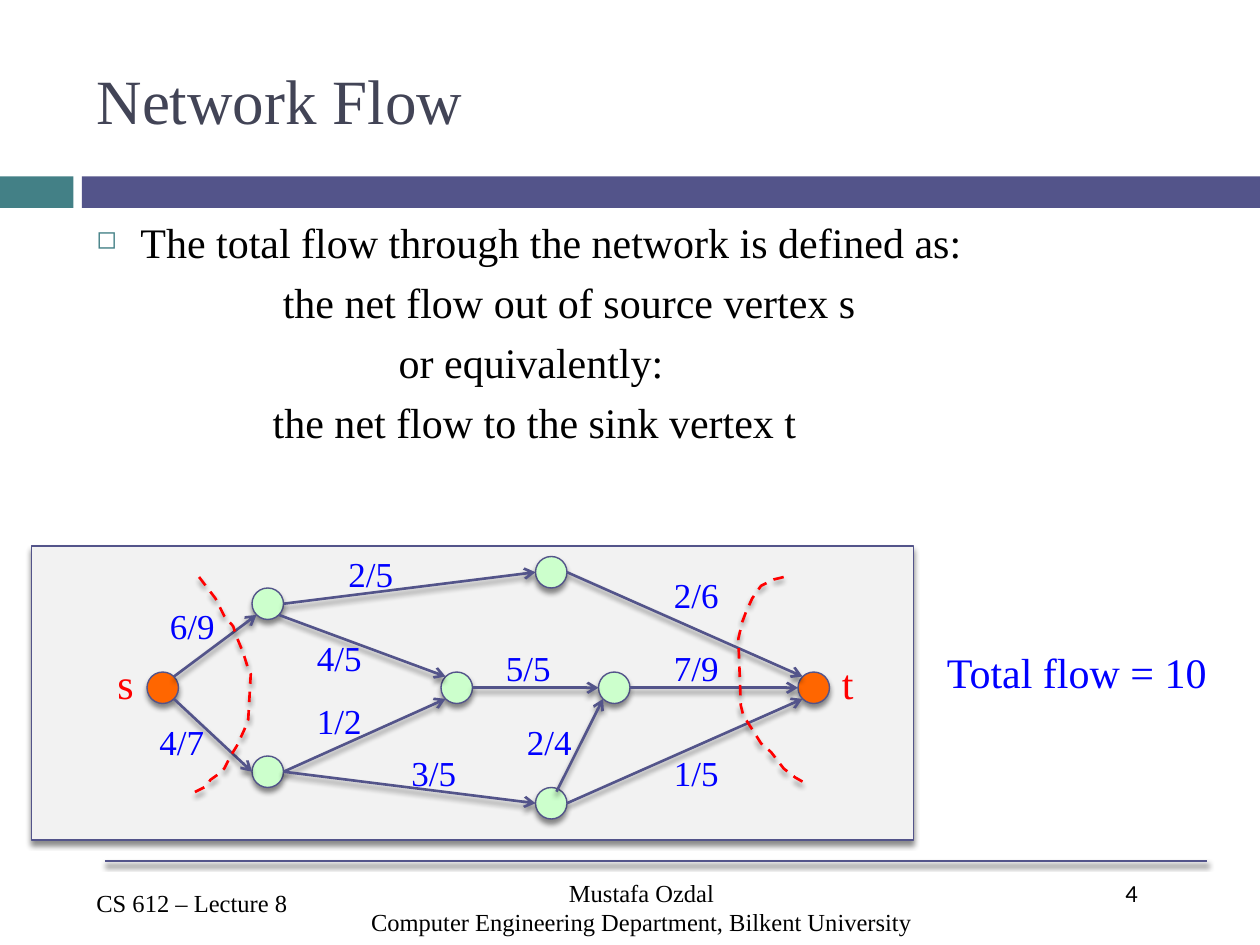
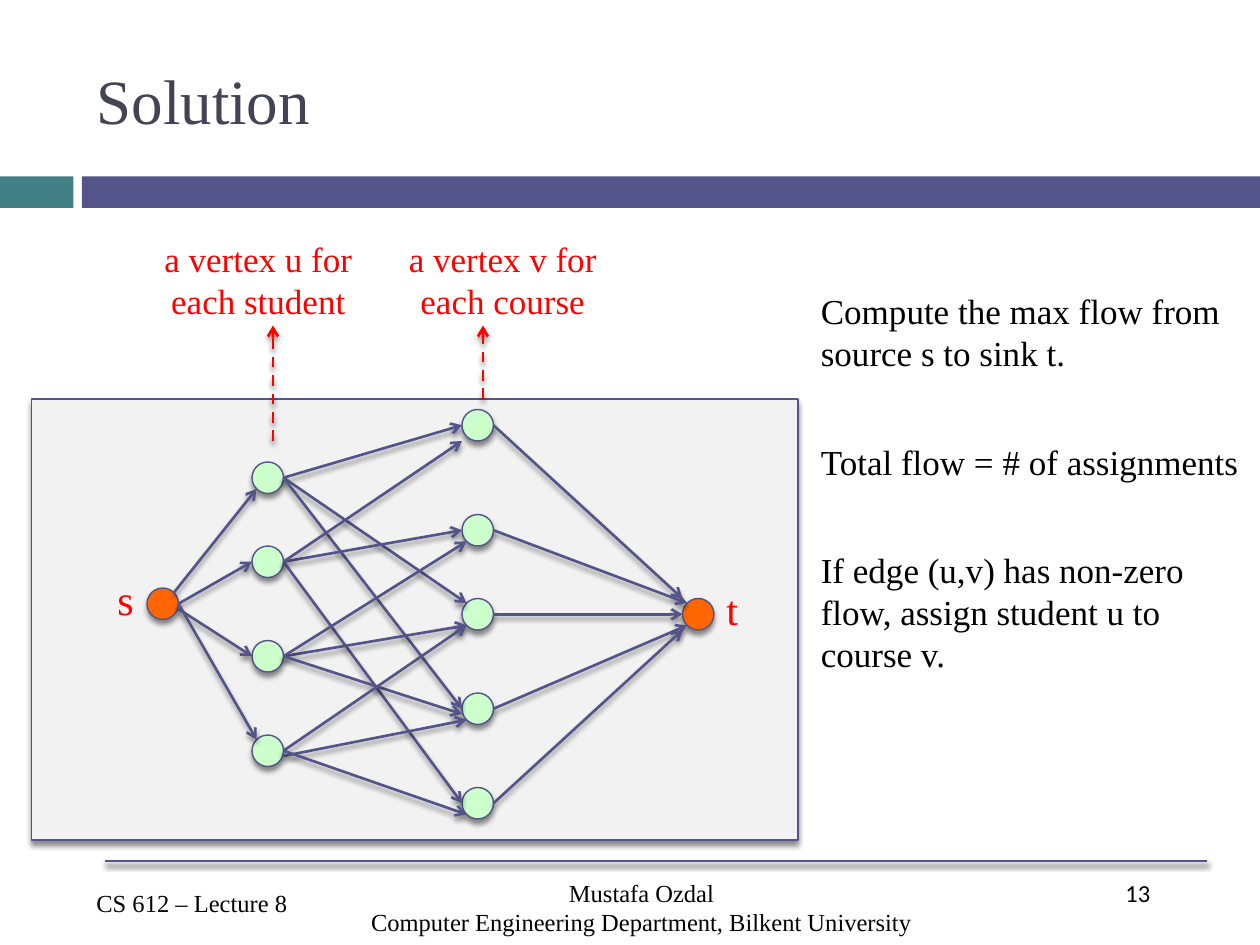
from lxml import etree
from pptx import Presentation
from pptx.dml.color import RGBColor
from pptx.enum.dml import MSO_LINE
from pptx.enum.shapes import MSO_CONNECTOR, MSO_SHAPE
from pptx.enum.text import MSO_ANCHOR, PP_ALIGN
from pptx.oxml.ns import qn
from pptx.util import Emu, Inches, Pt

# Grid: 120 columns by 90 rows, one cell being 1/12 inch
COLS, ROWS = 120, 90
CELL = Inches(10) // COLS
NODE = 3
DIAGONAL = 0.71

INDIGO, TEAL, SLATE = "53548A", "438086", "424456"
BLACK, RED, BLUE = "000000", "FF0000", "0000FF"
PANEL, ORANGE, MINT = "F2F2F2", "FF6600", "CCFFCC"
SERIF, SANS = "Times New Roman", "Calibri"

# Where an edge meets a node, in radii from its centre
PORTS = {
    "l": (-1, 0), "r": (1, 0),
    "tl": (-DIAGONAL, -DIAGONAL), "tr": (DIAGONAL, -DIAGONAL),
    "bl": (-DIAGONAL, DIAGONAL), "br": (DIAGONAL, DIAGONAL),
}


def rgb(value):
    return RGBColor.from_string(value)


def grid(*cells):
    return [Emu(round(cell * CELL)) for cell in cells]


def apply(target, values):
    for name, value in values.items():
        setattr(target, name, value)


def add_xml(parent, tag, **attributes):
    return etree.SubElement(parent, qn(tag), attributes)


class Deck:
    """Shared style and the slide being drawn."""

    def __init__(self):
        self.prs = Presentation()
        apply(self.prs, {"slide_width": COLS * CELL, "slide_height": ROWS * CELL})

    # Slide frame
    def new_slide(self, title, number):
        self.slide = self.prs.slides.add_slide(self.prs.slide_layouts[5])
        self.shapes = self.slide.shapes
        self.nodes = {}
        self.band(0, 7, TEAL)
        self.band(7.8, COLS - 7.8, INDIGO)
        self.line((10, 82), (115, 82), arrow=False)
        self.text([str(number)], (106, 83, 9, 6), size=14, font=SANS)
        self.text(["CS 612 – Lecture 8"], (8, 84, 22, 4), size=14)
        self.text(["Mustafa Ozdal", "Computer Engineering Department, Bilkent University"],
                  (20, 83, 82.2, 7), size=14, align=PP_ALIGN.CENTER)
        heading = self.shapes.title
        self.place(heading, (8, 3, 107, 13))
        self.fill_text(heading.text_frame, [title], SLATE, 36, anchor=MSO_ANCHOR.MIDDLE)

    def place(self, shape, box):
        apply(shape, dict(zip(("left", "top", "width", "height"), grid(*box))))

    def band(self, left, width, color):
        band = self.shapes.add_shape(MSO_SHAPE.RECTANGLE, *grid(left, 16.8, width, 3))
        band.fill.solid()
        band.fill.fore_color.rgb = rgb(color)
        band.line.fill.background()
        band.shadow.inherit = False

    # Text
    def fill_text(self, frame, lines, color, size, font=SERIF, align=PP_ALIGN.LEFT,
                  wrap=True, anchor=MSO_ANCHOR.TOP, before=()):
        apply(frame, {"word_wrap": wrap, "vertical_anchor": anchor})
        for index, line in enumerate(lines):
            para = frame.paragraphs[0] if index == 0 else frame.add_paragraph()
            para.alignment = align
            if before:
                para.space_before = Pt(before[index])
            run = para.add_run()
            run.text = line
            apply(run.font, {"name": font, "size": Pt(size)})
            run.font.color.rgb = rgb(color)
        return frame.paragraphs

    def text(self, lines, box, color=BLACK, size=20, **options):
        frame = self.shapes.add_textbox(*grid(*box)).text_frame
        return self.fill_text(frame, lines, color, size, **options)

    def indent(self, para, left, first=0):
        props = para._p.get_or_add_pPr()
        props.set("marL", str(Inches(left)))
        props.set("indent", str(Inches(first)))
        return props

    def bullet(self, para):
        props = self.indent(para, 0.35, -0.35)
        add_xml(add_xml(props, "a:buClr"), "a:srgbClr", val=TEAL)
        add_xml(props, "a:buSzPct", val="60000")
        add_xml(props, "a:buChar", char="◻")

    # Outlines, shadows and shapes
    def outline(self, shape, color=INDIGO, width=1.5, dashed=False):
        shape.line.color.rgb = rgb(color)
        shape.line.width = Pt(width)
        if dashed:
            shape.line.dash_style = MSO_LINE.DASH
        effects = add_xml(shape._element.spPr, "a:effectLst")
        shadow = add_xml(effects, "a:outerShdw", blurRad=str(Pt(3)), dist=str(Pt(2.4)),
                         dir="5400000", rotWithShape="0")
        add_xml(add_xml(shadow, "a:srgbClr", val=BLACK), "a:alpha", val="45000")

    def shape(self, kind, box, color):
        shape = self.shapes.add_shape(kind, *grid(*box))
        shape.fill.solid()
        shape.fill.fore_color.rgb = rgb(color)
        self.outline(shape, width=0.79)

    def panel(self, *box):
        self.shape(MSO_SHAPE.RECTANGLE, box, PANEL)

    def line(self, start, end, color=INDIGO, dashed=False, arrow=True):
        line = self.shapes.add_connector(MSO_CONNECTOR.STRAIGHT, *grid(*start, *end))
        self.outline(line, color, dashed=dashed)
        if arrow:
            add_xml(line._element.spPr.find(qn("a:ln")), "a:tailEnd", type="arrow")

    def cut(self, points):
        """Dashed curve through points in hundredths of an inch."""
        builder = self.shapes.build_freeform(*points[0], scale=Inches(0.01))
        builder.add_line_segments(points[1:], close=False)
        curve = builder.convert_to_shape()
        curve.fill.background()
        self.outline(curve, RED, dashed=True)

    # Flow network
    def add_nodes(self, places):
        for name, (left, top) in places.items():
            self.nodes[name] = (left, top)
            terminal = name in ("s", "t")
            self.shape(MSO_SHAPE.OVAL, (left, top, NODE, NODE), ORANGE if terminal else MINT)
            if terminal:
                shift = -4 if name == "s" else NODE
                self.text([name], (left + shift, top - 2, 4, 6), RED, 24)

    def spot(self, end):
        """A point on the grid, or 'node.port'."""
        if not isinstance(end, str):
            return end
        name, port = end.split(".")
        return [corner + NODE / 2 * (1 + reach)
                for corner, reach in zip(self.nodes[name], PORTS[port])]

    def add_edges(self, edges):
        for start, end in edges:
            self.line(self.spot(start), self.spot(end))


def network_flow(deck):
    deck.new_slide("Network Flow", 4)
    definition = deck.text(
        ["The total flow through the network is defined as:",
         "the net flow out of source vertex s",
         "or equivalently:",
         "the net flow to the sink vertex t"],
        (8, 20, 107, 26), size=24, before=(7, 5.5, 5.5, 5.5))
    deck.bullet(definition[0])
    for para, left in zip(definition[1:], (1.48, 2.4, 1.4)):
        deck.indent(para, left)

    # Network
    deck.panel(3, 52, 84, 28)
    deck.add_nodes({"s": (14, 64), "a": (24, 56), "b": (24, 72), "c": (42, 64),
                    "d": (51, 53), "e": (51, 75), "f": (57, 64), "t": (76, 64)})
    deck.add_edges([
        ("s.tr", "a.bl"), ("s.br", "b.l"), ("a.br", "c.tl"), ("b.r", "c.bl"),
        ("b.r", "e.l"), ("a.r", "d.l"), ((53, 75.4), "f.bl"), ("c.r", "f.l"),
        ("d.r", "t.tl"), ("f.r", "t.l"), ("e.r", "t.bl")])

    # Flow / capacity of each edge
    flows = [("6/9", 15, 57), ("4/7", 14, 68), ("4/5", 29, 60), ("2/5", 32, 52),
             ("1/2", 29, 66), ("3/5", 38, 71), ("5/5", 47, 61), ("2/4", 49, 68),
             ("1/5", 63, 71), ("7/9", 63, 61), ("2/6", 63, 54)]
    for flow, left, top in flows:
        deck.text([flow], (left, top, 6.75, 5.25), BLUE, wrap=False)

    # Cuts around source and sink
    deck.cut([(158, 458), (171, 475), (176, 485), (178, 489), (185, 497), (188, 506),
              (193, 518), (197, 531), (199, 535), (197, 571), (194, 579), (188, 592),
              (183, 600), (178, 610), (174, 614), (167, 619), (164, 624), (154, 629),
              (150, 632)])
    deck.cut([(622, 458), (614, 460), (604, 465), (597, 475), (592, 486), (589, 494),
              (586, 507), (588, 560), (590, 568), (599, 582), (604, 590), (612, 597),
              (622, 610), (631, 617), (638, 621)])
    deck.text(["Total flow = 10"], (89, 61, 27.4, 6), BLUE, 24, wrap=False)


def solution(deck):
    deck.new_slide("Solution", 13)
    deck.text(["Compute the max flow from source s to sink t.",
               "Total flow = # of assignments",
               "If edge (u,v) has non-zero flow, assign student u to course v."],
              (77, 27, 43, 52), before=(7, 38, 38))

    # Students u and courses v
    deck.panel(3, 38, 73, 42)
    students = {f"u{i}": (24, top) for i, top in enumerate((44, 52, 61, 70), 1)}
    courses = {f"v{i}": (44, top) for i, top in enumerate((39, 49, 57, 66, 75), 1)}
    deck.add_nodes({"s": (14, 56), **students, **courses, "t": (65, 57)})
    deck.add_edges([
        ("u1.r", "v1.l"), ("u1.r", "v3.tl"), ("u1.r", "v4.l"),
        ("u2.r", "v2.l"), ("u2.r", "v5.l"), ("u2.r", (44, 42)),
        ("u3.r", "v3.bl"), ("u3.r", "v2.bl"), ("u3.r", (44, 68)),
        ("u4.r", "v3.bl"), ((27, 72), "v4.bl"), ("u4.r", "v5.bl"),
        ("s.tr", "u1.bl"), ("s.r", "u2.l"), ((17, 58), "u3.l"), ("s.r", "u4.tl"),
        ("v1.r", (65, 57)), ("v2.r", "t.tl"), ("v3.r", "t.l"),
        ("v4.r", "t.bl"), ("v5.r", (65, 60))])

    # Captions above the two columns
    captions = [("a vertex u for", "each student", 14.28, 26, 42),
                ("a vertex v for", "each course", 37.56, 46, 38)]
    for first, second, left, column, start in captions:
        deck.line((column, start), (column, 31), RED, dashed=True)
        deck.text([first, second], (left, 22, 20.64, 9.24), RED,
                  align=PP_ALIGN.CENTER, wrap=False)


def main():
    deck = Deck()
    network_flow(deck)
    solution(deck)
    deck.prs.save("out.pptx")


if __name__ == "__main__":
    main()
